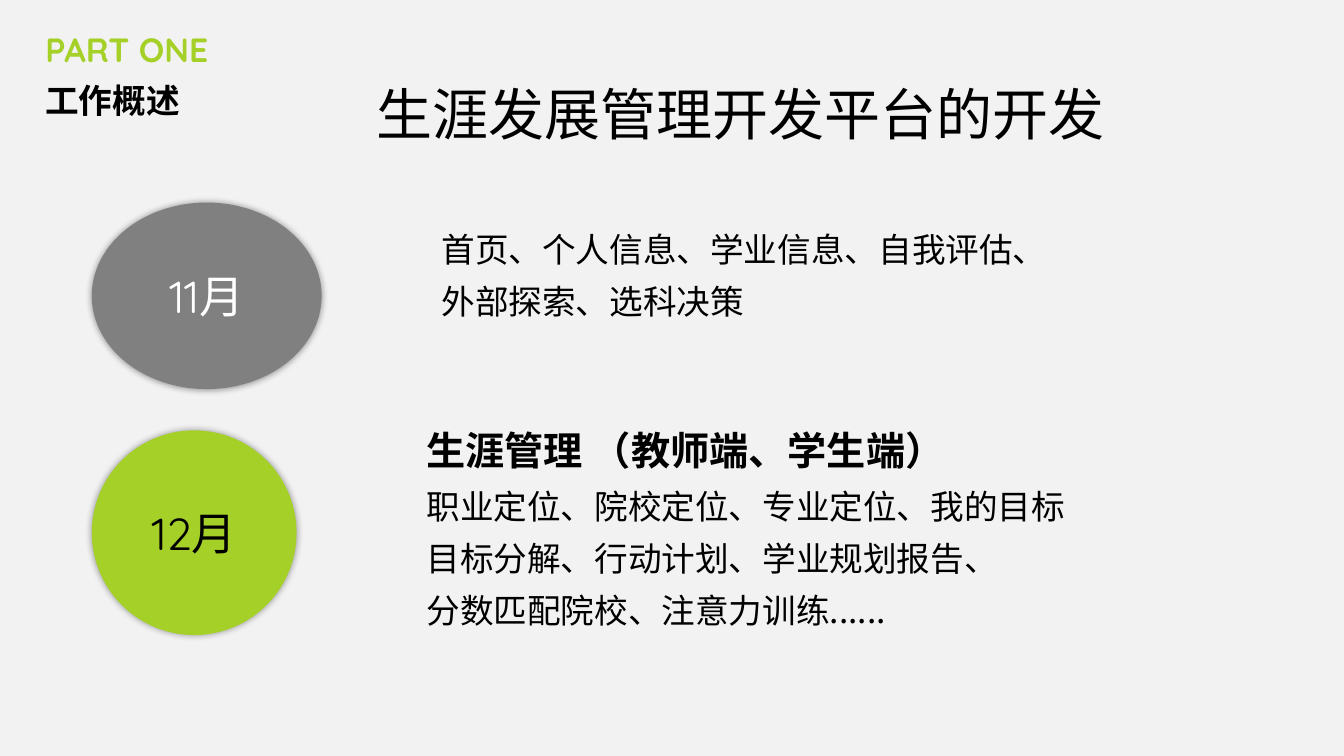
from lxml.etree import SubElement
from pptx import Presentation
from pptx.dml.color import RGBColor
from pptx.enum.shapes import MSO_SHAPE
from pptx.enum.text import MSO_ANCHOR, MSO_AUTO_SIZE, PP_ALIGN
from pptx.oxml.ns import qn
from pptx.util import Inches, Pt

LIME = RGBColor(0xA5, 0xD0, 0x27)
GRAY = RGBColor(0x80, 0x80, 0x80)
BLACK = RGBColor(0, 0, 0)
WHITE = RGBColor(0xFF, 0xFF, 0xFF)
PAPER = RGBColor(0xF2, 0xF2, 0xF2)
ROUND_FONT = "Quicksand"
CHINESE_FONT = "Noto Sans CJK SC"

presentation = Presentation()
presentation.slide_width = Inches(13.33)
presentation.slide_height = Inches(7.5)
column = presentation.slide_width / 100
row = presentation.slide_height / 100

slide = presentation.slides.add_slide(presentation.slide_layouts.get_by_name("Comparison"))
slide.background.fill.solid()
slide.background.fill.fore_color.rgb = PAPER


def place(shape, left, top, width, height):
    shape.left, shape.width = int(left * column), int(width * column)
    shape.top, shape.height = int(top * row), int(height * row)


def format_paragraph(paragraph, size, color, font_name, bold, alignment, spacing, before=0, indent=0):
    paragraph.alignment = alignment
    paragraph.line_spacing = spacing
    paragraph.space_before = Pt(before)
    font = paragraph.font
    font.name = font_name
    font.size = Pt(size)
    font.bold = bold
    font.color.rgb = color
    properties = paragraph._p.get_or_add_pPr()
    properties.set("marL", str(Inches(indent)))
    properties.set("indent", "0")
    defaults = properties.find(qn("a:defRPr"))
    SubElement(defaults, qn("a:ea")).set("typeface", CHINESE_FONT)
    defaults.addprevious(properties.makeelement(qn("a:buNone"), {}))


december_lines = [
    "生涯管理 （教师端、学生端）",
    "职业定位、院校定位、专业定位、我的目标",
    "目标分解、行动计划、学业规划报告、",
    "分数匹配院校、注意力训练......",
]
november_lines = ["首页、个人信息、学业信息、自我评估、外部探索、选科决策"]

texts = [
    (1, (2.63, 3.73, 28.8, 6.13), ["PART ONE"], 24, LIME, ROUND_FONT, True, 0.9, 10, 0),
    (3, (2.63, 9.87, 28.8, 7.73), ["工作概述"], 24, BLACK, ROUND_FONT, True, 1.0, 0, 0),
    (0, (27.3, 7.2, 55.65, 12.93), ["生涯发展管理开发平台的开发"], 40, BLACK, CHINESE_FONT, False, 1.3, 6, 0),
    (2, (32.1, 28, 44.48, 15.33), november_lines, 24, BLACK, ROUND_FONT, False, 1.3, 0, 0),
    (4, (28.73, 53.87, 53.1, 30.53), december_lines, 24, BLACK, CHINESE_FONT, False, 1.3, 0, 0.3),
]
placeholders = {shape.placeholder_format.idx: shape for shape in slide.placeholders}
for index, box, lines, size, color, font_name, bold, spacing, before, indent in texts:
    shape = placeholders[index]
    place(shape, *box)
    frame = shape.text_frame
    frame.text = "\n".join(lines)
    frame.auto_size = MSO_AUTO_SIZE.NONE
    frame.word_wrap = index != 0
    frame.vertical_anchor = MSO_ANCHOR.TOP
    for paragraph in frame.paragraphs:
        format_paragraph(paragraph, size, color, font_name, bold, PP_ALIGN.LEFT, spacing, before, indent)

december_heading = placeholders[4].text_frame.paragraphs[0]
december_heading.font.size = Pt(28)
december_heading.font.bold = True

months = [
    ("11月", (6.83, 26.8, 17.1, 24.67), GRAY, WHITE),
    ("12月", (6.83, 56.93, 15.23, 27.07), LIME, BLACK),
]
for month, box, fill_color, text_color in months:
    ellipse = slide.shapes.add_shape(MSO_SHAPE.OVAL, 0, 0, 0, 0)
    place(ellipse, *box)
    ellipse.fill.solid()
    ellipse.fill.fore_color.rgb = fill_color
    ellipse.line.fill.background()
    ellipse.shadow.inherit = False
    effects = ellipse._element.spPr.find(qn("a:effectLst"))
    shadow = SubElement(effects, qn("a:outerShdw"), blurRad=str(Pt(5)), dist="0", dir="0", algn="ctr", rotWithShape="0")
    shadow_color = SubElement(shadow, qn("a:srgbClr"), val=str(BLACK))
    SubElement(shadow_color, qn("a:alpha"), val="40000")
    frame = ellipse.text_frame
    frame.text = month
    frame.vertical_anchor = MSO_ANCHOR.MIDDLE
    format_paragraph(frame.paragraphs[0], 32, text_color, ROUND_FONT, False, PP_ALIGN.CENTER, 1.0)

presentation.save("out.pptx")
